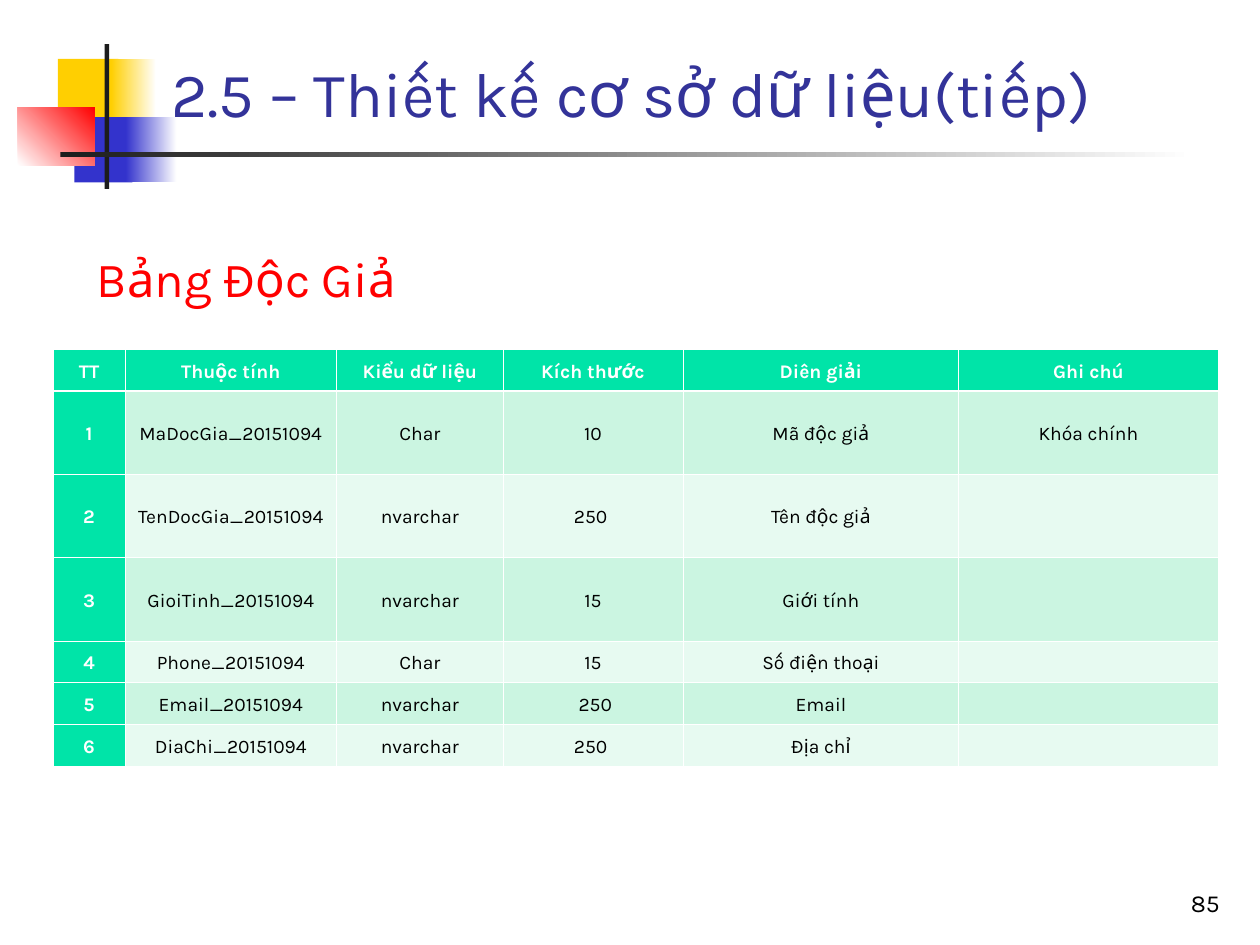
from lxml import etree
from pptx import Presentation
from pptx.dml.color import RGBColor
from pptx.enum.shapes import MSO_SHAPE
from pptx.enum.text import MSO_ANCHOR, PP_ALIGN
from pptx.oxml.ns import qn
from pptx.util import Cm, Pt

RECTANGLE = MSO_SHAPE.RECTANGLE
LEFT, CENTER, RIGHT = PP_ALIGN.LEFT, PP_ALIGN.CENTER, PP_ALIGN.RIGHT
TOP, MIDDLE, BOTTOM = MSO_ANCHOR.TOP, MSO_ANCHOR.MIDDLE, MSO_ANCHOR.BOTTOM

WHITE = RGBColor(0xFF, 0xFF, 0xFF)
BLACK = RGBColor(0x00, 0x00, 0x00)
CHARCOAL = RGBColor(0x1C, 0x1C, 0x1C)
YELLOW = RGBColor(0xFF, 0xCF, 0x01)
BLUE = RGBColor(0x33, 0x33, 0xCC)
RED = RGBColor(0xFF, 0x00, 0x00)
NAVY = RGBColor(0x33, 0x33, 0x99)
GREEN = RGBColor(0x00, 0xE4, 0xA8)
BANDS = (RGBColor(0xCB, 0xF5, 0xE1), RGBColor(0xE7, 0xFA, 0xF1))

FONT = "Karla"
THIN, THICK = Pt(0.45), Pt(1.47)

COLUMN_WIDTHS = (1.45, 4.27, 3.35, 3.63, 5.56, 5.23)
ROW_HEIGHTS = (0.84, 1.68, 1.68, 1.68, 0.84, 0.84, 0.84)
# Some sizes carry a non-breaking space
ROWS = (
    ("TT", "Thuộc tính", "Kiểu dữ liệu", "Kích thước", "Diên giải", "Ghi chú"),
    ("1", "MaDocGia_20151094", "Char", "10", "Mã độc giả", "Khóa chính"),
    ("2", "TenDocGia_20151094", "nvarchar", "250 ", "Tên độc giả", ""),
    ("3", "GioiTinh_20151094", "nvarchar", "15", "Giới tính", ""),
    ("4", "Phone_20151094", "Char", "15", "Số điện thoại", ""),
    ("5", "Email_20151094", "nvarchar", " 250", "Email", ""),
    ("6", "DiaChi_20151094", "nvarchar", "250 ", "Địa chỉ", ""),
)


def format_text(text_frame, text, size, color, align=LEFT, bold=False):
    text_frame.text = text
    paragraph = text_frame.paragraphs[0]
    paragraph.alignment = align
    for run in paragraph.runs:
        run.font.name = FONT
        run.font.size = Pt(size)
        run.font.bold = bold
        run.font.color.rgb = color
    return paragraph


def add_block(slide, left, top, width, height, start, end=None, angle=0):
    """Draw a borderless rectangle, solid or fading from start to end."""
    shape = slide.shapes.add_shape(RECTANGLE, Cm(left), Cm(top), Cm(width), Cm(height))
    shape.shadow.inherit = False
    shape.line.fill.background()
    if end is None:
        shape.fill.solid()
        shape.fill.fore_color.rgb = start
    else:
        shape.fill.gradient()
        shape.fill.gradient_angle = angle
        for stop, color, position in zip(shape.fill.gradient_stops, (start, end), (0, 1)):
            stop.color.rgb = color
            stop.position = position
    return shape


def add_ornament(slide, left, top):
    """Overlapping colour blocks, the upright bar and the fading rule."""
    blocks = (
        (0.81, 0.3, 1.22, 1.32, YELLOW),
        (1.88, 0.3, 0.91, 1.32, YELLOW, WHITE),
        (1.14, 1.47, 1.17, 1.32, BLUE),
        (2.18, 1.47, 1.02, 1.32, BLUE, WHITE),
        (0, 1.27, 1.55, 1.17, WHITE, RED, 45),
        (1.75, 0, 0.09, 2.92, CHARCOAL),
        (0.86, 2.18, 22.86, 0.1, CHARCOAL, WHITE),
    )
    for x, y, *rest in blocks:
        add_block(slide, left + x, top + y, *rest)


def add_label(slide, left, top, width, height, text, size, color, align, anchor):
    box = slide.shapes.add_textbox(Cm(left), Cm(top), Cm(width), Cm(height))
    box.text_frame.word_wrap = True
    box.text_frame.vertical_anchor = anchor
    format_text(box.text_frame, text, size, color, align)


def add_heading(slide, left, top, width, height, text):
    """Name of the database table on a white panel."""
    panel = add_block(slide, left, top, width, height, WHITE)
    panel.line.color.rgb = WHITE
    panel.line.width = Pt(0.75)
    panel.text_frame.vertical_anchor = TOP
    format_text(panel.text_frame, text, 28, RED)


def set_borders(cell, top, bottom):
    properties = cell._tc.get_or_add_tcPr()
    for side, width in (("L", THIN), ("R", THIN), ("T", top), ("B", bottom)):
        line = etree.SubElement(properties, qn(f"a:ln{side}"), w=str(int(width)))
        fill = etree.SubElement(line, qn("a:solidFill"))
        etree.SubElement(fill, qn("a:srgbClr"), val=str(WHITE))


def add_attribute_table(slide, left, top):
    frame = slide.shapes.add_table(
        len(ROWS), len(COLUMN_WIDTHS), Cm(left), Cm(top),
        Cm(sum(COLUMN_WIDTHS)), Cm(sum(ROW_HEIGHTS)))
    table = frame.table
    for column, width in zip(table.columns, COLUMN_WIDTHS):
        column.width = Cm(width)
    for row, height in zip(table.rows, ROW_HEIGHTS):
        row.height = Cm(height)

    for row_index, values in enumerate(ROWS):
        for column_index, value in enumerate(values):
            cell = table.cell(row_index, column_index)
            is_header = row_index == 0 or column_index == 0
            set_borders(cell,
                        top=THICK if row_index == 1 else THIN,
                        bottom=THICK if row_index == 0 else THIN)
            cell.fill.solid()
            cell.fill.fore_color.rgb = GREEN if is_header else BANDS[(row_index - 1) % 2]
            cell.vertical_anchor = MIDDLE
            cell.margin_left = cell.margin_right = Cm(0.2)
            cell.margin_top = cell.margin_bottom = Cm(0.13)
            paragraph = format_text(cell.text_frame, value, 11,
                                    WHITE if is_header else BLACK, CENTER, is_header)
            paragraph.line_spacing = 1.15
            if not value:
                # Keeps empty cells from stretching the row
                etree.SubElement(paragraph._p, qn("a:endParaRPr"), sz="1100")


def main():
    presentation = Presentation()
    presentation.slide_width = Cm(25.4)
    presentation.slide_height = Cm(19.05)
    slide = presentation.slides.add_slide(presentation.slide_layouts[6])

    add_ornament(slide, 0.36, 0.89)
    # Title
    add_label(slide, 3.2, 0.58, 21.64, 2.16, "2.5 – Thiết kế cơ sở dữ liệu(tiếp)",
              36, NAVY, LEFT, BOTTOM)
    add_attribute_table(slide, 1.07, 7.04)
    # Page number
    add_label(slide, 19.56, 17.35, 5.28, 1.27, "85", 14, BLACK, RIGHT, BOTTOM)
    add_heading(slide, 1.7, 4.88, 6.78, 1.47, "Bảng Độc Giả")

    presentation.save("out.pptx")


if __name__ == "__main__":
    main()
